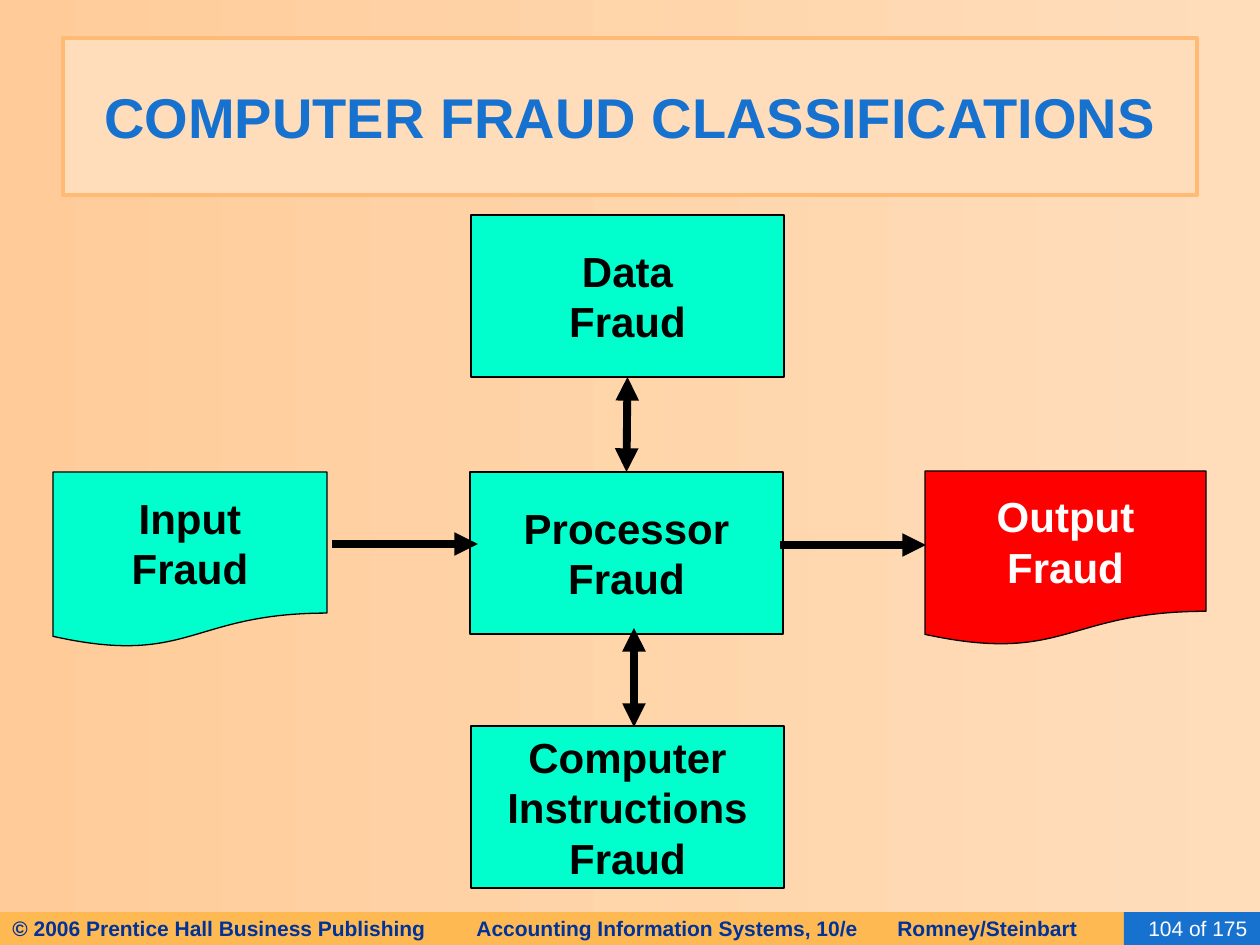
from lxml import etree
from pptx import Presentation
from pptx.dml.color import RGBColor
from pptx.enum import shapes, text
from pptx.oxml.ns import qn
from pptx.util import Pt

PX = 914400 / 126
BLACK, WHITE, GREEN, RED = "000000", "FFFFFF", "00FFCC", "FF0000"
BLUE, NAVY, ORANGE, PEACH = "1672CE", "003399", "FFB953", "FFDDBB"
BACKGROUND = [PEACH, "FFCC99"]

RECT = shapes.MSO_SHAPE.RECTANGLE
DOCUMENT = shapes.MSO_SHAPE.FLOWCHART_DOCUMENT
LEFT, CENTER, RIGHT = text.PP_ALIGN.LEFT, text.PP_ALIGN.CENTER, text.PP_ALIGN.RIGHT

FOOTER = "© 2006 Prentice Hall Business Publishing\tAccounting Information Systems, 10/e\tRomney/Steinbart"
FOOTER_TABS = [464, 885]
PANELS = [
    ([FOOTER], (0, 912, 1166, 33), ORANGE, None, LEFT,
     {"size": Pt(12), "bold": True}, NAVY),
    (["104 of 175"], (1124, 912, 136, 33), BLUE, None, RIGHT,
     {"size": Pt(12), "bold": False}, WHITE),
    (["COMPUTER FRAUD CLASSIFICATIONS"], (63, 38, 1134, 157), PEACH, ("FFBA75", 2.5), CENTER,
     {"size": Pt(32), "bold": True}, BLUE),
]
FRAUDS = {
    "processor": (["Processor", "Fraud"], RECT, (470, 472, 313, 162), GREEN, BLACK),
    "input": (["Input", "Fraud"], DOCUMENT, (53, 472, 274, 176), GREEN, BLACK),
    "output": (["Output", "Fraud"], DOCUMENT, (925, 471, 281, 175), RED, WHITE),
    "data": (["Data", "Fraud"], RECT, (471, 215, 313, 162), GREEN, BLACK),
    "instructions": (["Computer", "Instructions", "Fraud"], RECT, (471, 726, 313, 162), GREEN, BLACK),
}
FRAUD_FONT = {"size": Pt(24), "bold": True}
ARROWS = [
    ((780, 545), (926, 545), ["tailEnd"], None),
    ((332, 544), (478, 544), ["tailEnd"], None),
    ((628, 377), (627, 472), ["headEnd", "tailEnd"], (("data", 2), ("processor", 0))),
    ((634, 628), (634, 727), ["headEnd", "tailEnd"], None),
]


def px(*lengths):
    return [round(length * PX) for length in lengths]


def color(value):
    return RGBColor.from_string(value)


def add_box(page, lines, kind, place, fill, line, align, font, ink, wrap=True):
    box = page.shapes.add_shape(kind, *px(*place))
    box.shadow.inherit = False
    box.fill.solid()
    box.fill.fore_color.rgb = color(fill)
    if line:
        box.line.color.rgb = color(line[0])
        box.line.width = Pt(line[1])
    else:
        box.line.fill.background()
    frame = box.text_frame
    frame.word_wrap = wrap
    frame.vertical_anchor = text.MSO_ANCHOR.MIDDLE
    for index, words in enumerate(lines):
        para = frame.add_paragraph() if index else frame.paragraphs[0]
        para.alignment = align
        if "\t" in words:
            stops = etree.SubElement(para._p.get_or_add_pPr(), qn("a:tabLst"))
            for stop in px(*FOOTER_TABS):
                etree.SubElement(stops, qn("a:tab"), pos=str(stop), algn="l")
        span = para.add_run()
        span.text = words
        for name, value in {"name": "Arial", **font}.items():
            setattr(span.font, name, value)
        span.font.color.rgb = color(ink)
    return box


def add_arrow(page, start, end, heads, joints, boxes):
    arrow = page.shapes.add_connector(shapes.MSO_CONNECTOR.STRAIGHT, *px(*start, *end))
    arrow.line.color.rgb = color(BLACK)
    arrow.line.width = Pt(4.5)
    for head in heads:
        etree.SubElement(arrow.line._get_or_add_ln(), qn("a:" + head), type="triangle")
    etree.SubElement(arrow._element.spPr, qn("a:effectLst"))
    if joints:
        (first, first_side), (last, last_side) = joints
        arrow.begin_connect(boxes[first], first_side)
        arrow.end_connect(boxes[last], last_side)


def main():
    deck = Presentation()
    deck.slide_width, deck.slide_height = px(1260, 945)
    page = deck.slides.add_slide(deck.slide_layouts[6])
    backdrop = page.background.fill
    backdrop.gradient()
    backdrop.gradient_angle = 180
    for stop, shade in zip(backdrop.gradient_stops, BACKGROUND):
        stop.color.rgb = color(shade)

    for lines, place, fill, line, align, font, ink in PANELS:
        add_box(page, lines, RECT, place, fill, line, align, font, ink)
    boxes = {
        name: add_box(page, lines, kind, place, fill, (BLACK, 0.75), CENTER, FRAUD_FONT, ink, False)
        for name, (lines, kind, place, fill, ink) in FRAUDS.items()
    }
    for arrow in ARROWS:
        add_arrow(page, *arrow, boxes)
    deck.save("out.pptx")


if __name__ == "__main__":
    main()
